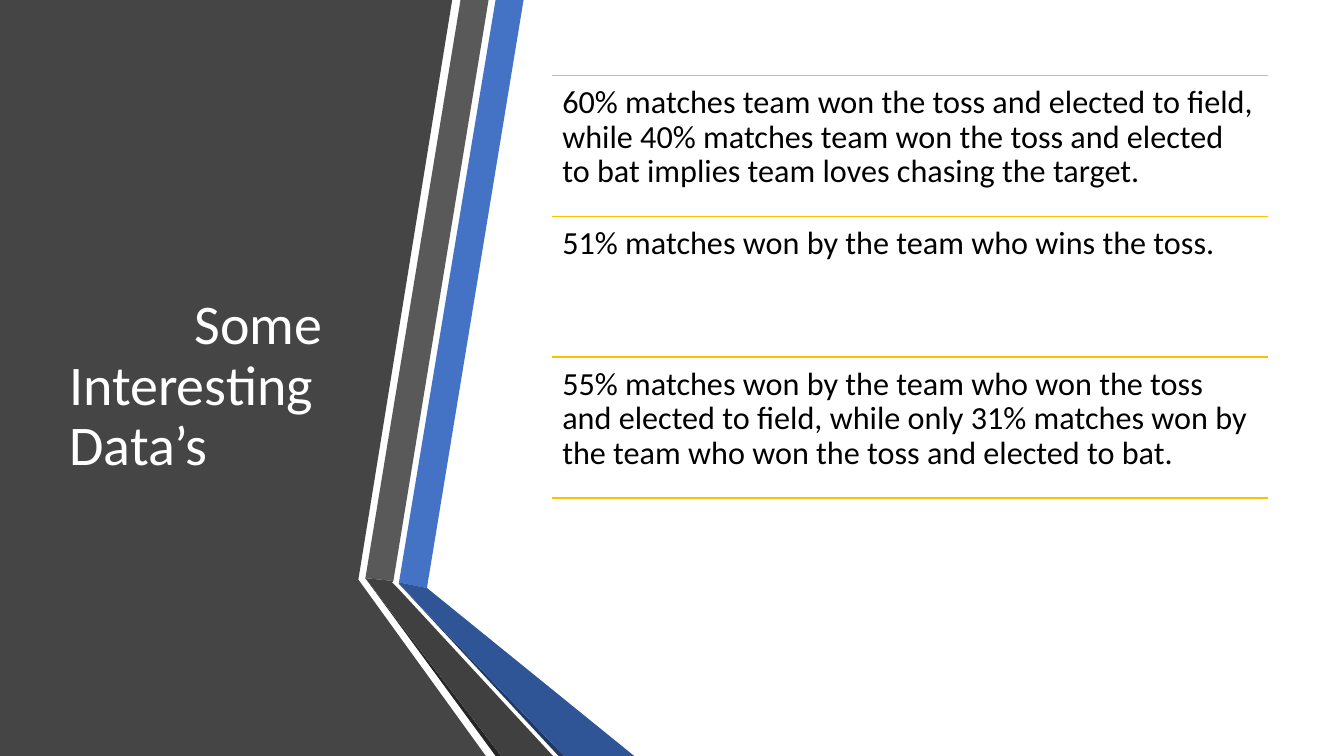
from dataclasses import dataclass

from lxml import etree
from pptx import Presentation
from pptx.dml.color import RGBColor
from pptx.enum import shapes, text
from pptx.oxml import ns
from pptx.util import Pt


@dataclass(frozen=True)
class Theme:
    font: str = "Calibri"
    title_size: float = 40
    fact_size: float = 23
    line_spacing: float = 0.9
    title_color: str = "FFFFFF"
    fact_color: str = "000000"
    rule_color: str = "FFC000"
    panel: str = "454545"
    blue: str = "4472C4"
    blue_fold: str = "2F5597"
    blue_edge: str = "203864"
    gray: str = "595959"
    gray_fold: str = "404040"
    gray_edge: str = "262626"


THEME = Theme()

FACTS = [
    "60% matches team won the toss and elected to field, while 40% matches team won the toss "
    "and elected to bat implies team loves chasing the target.",
    "51% matches won by the team who wins the toss.",
    "55% matches won by the team who won the toss and elected to field, while only 31% matches "
    "won by the team who won the toss and elected to bat.",
]

# Outlines in points, from back to front, relative to the backdrop's corner
BACKDROP = [
    (THEME.panel, [(0, 0), (323.3, 0), (256.3, 414.5), (347, 540), (0, 540)]),
    (THEME.blue, [(285.1, 416.2), (304.6, 419.6), (373.7, 0), (353.5, 0)]),
    (THEME.gray, [(349.2, 0), (329, 0), (261.4, 412.6), (280.8, 415.4)]),
    (THEME.gray_edge, [(261.4, 412.6), (353.5, 540), (357.8, 540)]),
    (THEME.blue_edge, [(285.1, 416.9), (398.9, 540), (403.2, 540)]),
    (THEME.blue_fold, [(285.1, 416.2), (285.1, 416.9), (403.2, 540), (452.9, 540),
                       (304.6, 419.6)]),
    (THEME.gray_fold, [(394.6, 540), (284.4, 419.8), (280.1, 416.2), (280.8, 415.4),
                       (261.4, 412.6), (357.8, 540)]),
]


def add_words(slide, box, words, size, color, anchor, inset):
    """Wrapped one-paragraph text; returns its frame for further settings."""
    frame = slide.shapes.add_textbox(*map(Pt, box)).text_frame
    frame.word_wrap = True
    frame.vertical_anchor = anchor
    frame.margin_left = frame.margin_right = Pt(7.2)
    frame.margin_top = frame.margin_bottom = Pt(inset)
    paragraph = frame.paragraphs[0]
    paragraph.text = words
    paragraph.line_spacing = THEME.line_spacing
    paragraph.font.name = THEME.font
    paragraph.font.size = Pt(size)
    paragraph.font.color.rgb = RGBColor.from_string(color)
    return frame


def add_backdrop(slide, left, top):
    """Dark panel and the two folded ribbons beside it."""
    for color, outline in BACKDROP:
        corners = [(left + x, top + y) for x, y in outline]
        builder = slide.shapes.build_freeform(*corners[0], scale=Pt(1))
        builder.add_line_segments(corners[1:], close=True)
        facet = builder.convert_to_shape()
        facet.shadow.inherit = False
        facet.fill.solid()
        facet.fill.fore_color.rgb = RGBColor.from_string(color)
        facet.line.fill.background()


def add_title(slide, box):
    """Title with its first line indented, set one line below centre."""
    title = add_words(slide, box, "Some Interesting Data’s", THEME.title_size,
                      THEME.title_color, text.MSO_ANCHOR.MIDDLE, 3.6)
    title.margin_top = Pt(46.6)
    title.paragraphs[0]._p.get_or_add_pPr().set("indent", str(Pt(89.5)))


def add_rule(slide, left, y, width):
    rule = slide.shapes.add_connector(shapes.MSO_CONNECTOR.STRAIGHT,
                                      Pt(left), Pt(y), Pt(left + width), Pt(y))
    rule.line.color.rgb = RGBColor.from_string(THEME.rule_color)
    rule.line.width = Pt(1)
    etree.SubElement(rule._element.spPr, ns.qn("a:effectLst"))


def add_facts(slide, left, top, width, height):
    """Equal rows of facts, with a rule above each and one at the end."""
    row_height = height / len(FACTS)
    for row, fact in enumerate(FACTS):
        y = top + row * row_height
        add_rule(slide, left, y, width)
        add_words(slide, (left, y, width, row_height), fact, THEME.fact_size,
                  THEME.fact_color, text.MSO_ANCHOR.TOP, 7.2)
    add_rule(slide, left, top + height, width)


def main():
    deck = Presentation()
    deck.slide_width, deck.slide_height = Pt(960), Pt(540)
    slide = deck.slides.add_slide(deck.slide_layouts[6])
    add_backdrop(slide, 0, 0)
    add_title(slide, (42.5, 54, 218.9, 401.8))
    add_facts(slide, 394.6, 54, 511.2, 301.7)
    deck.save("out.pptx")


if __name__ == "__main__":
    main()
